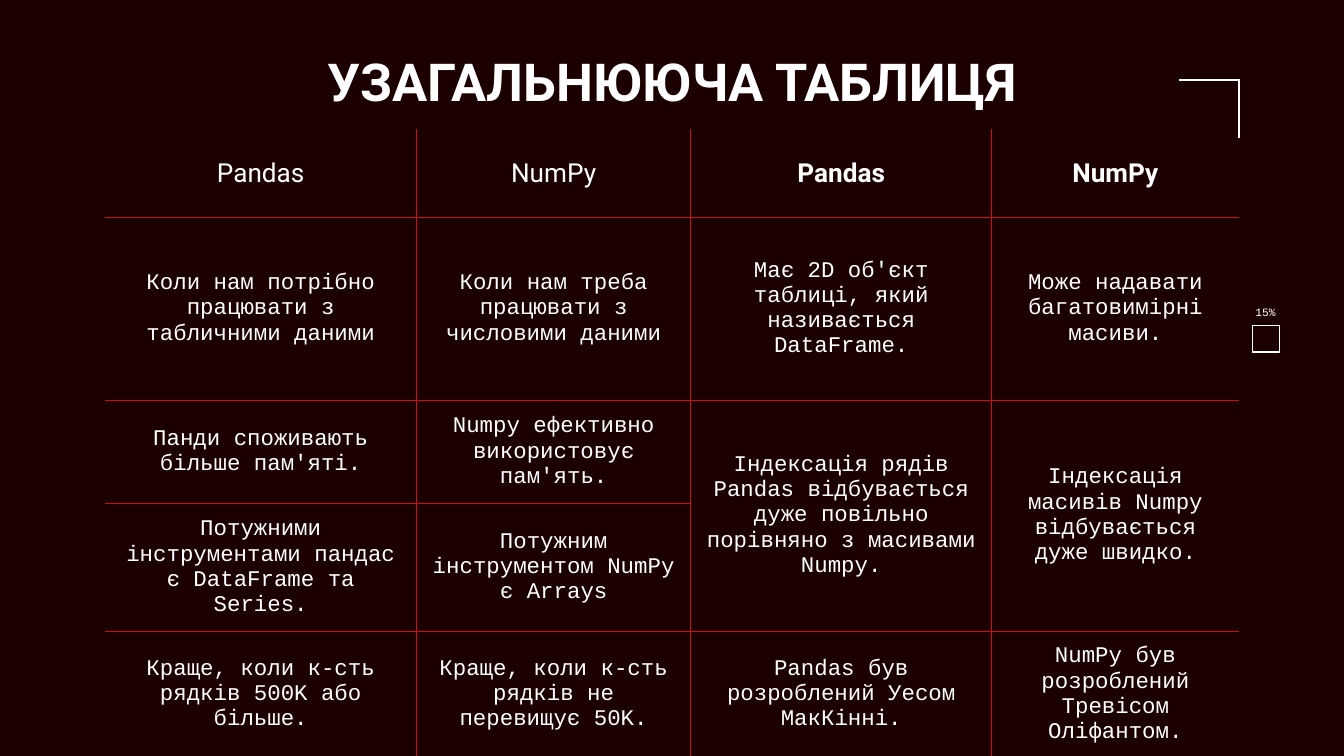
from lxml import etree
from pptx import Presentation
from pptx.dml.color import RGBColor
from pptx.enum import shapes, text
from pptx.oxml import ns
from pptx.util import Emu, Inches, Pt

theme = {
    "back": RGBColor.from_string("1C0000"),
    "ink": RGBColor.from_string("FFFFFF"),
    "rule": "CA1212",
    "line": 0.75,
    "head": "Roboto",
    "body": "Courier New",
    "title_size": 28,
    "head_size": 14,
    "body_size": 12,
    "tag_size": 6,
}

prs = Presentation()
prs.slide_width, prs.slide_height = Inches(10), Inches(5.625)
unit = prs.slide_width / 100
s = prs.slides.add_slide(prs.slide_layouts[6])
s.background.fill.solid()
s.background.fill.fore_color.rgb = theme["back"]


def grid(*steps):
    return [Emu(round(n * unit)) for n in steps]


def write(tf, padded, pad, words, font, size, bold=False):
    padded.margin_left, padded.margin_right = grid(1, 1)
    padded.margin_top, padded.margin_bottom = grid(pad, pad)
    tf.word_wrap = True
    p = tf.paragraphs[0]
    p.text = words
    p.alignment = text.PP_ALIGN.CENTER
    p.font.name, p.font.size, p.font.bold = font, Pt(size), bold
    p.font.color.rgb = theme["ink"]


sp = s.shapes.add_shape(shapes.MSO_SHAPE.RECTANGLE, *grid(93.2, 24.2, 2, 2))
sp.shadow.inherit = False
sp.fill.background()
sp.line.color.rgb = theme["ink"]
sp.line.width = Pt(theme["line"])

tf = s.shapes.add_textbox(*grid(92.2, 22.3, 3.9, 1.9)).text_frame
write(tf, tf, 1, "15%", theme["body"], theme["tag_size"])
tf.vertical_anchor = text.MSO_ANCHOR.MIDDLE

for ends in [(92.2, 5.95, 87.7, 5.95), (92.2, 5.9, 92.2, 10.3)]:
    c = s.shapes.add_connector(shapes.MSO_CONNECTOR.STRAIGHT, *grid(*ends))
    c.line.color.rgb = theme["ink"]
    c.line.width = Pt(theme["line"])
    etree.SubElement(c._element.spPr, ns.qn("a:effectLst"))

tf = s.shapes.add_textbox(*grid(7.85, 2.7, 84.3, 6.3)).text_frame
write(tf, tf, 1, "УЗАГАЛЬНЮЮЧА ТАБЛИЦЯ", theme["head"], theme["title_size"], True)

rows = [
    ["Pandas", "NumPy", "Pandas", "NumPy"],
    ["Коли нам потрібно працювати з табличними даними",
     "Коли нам треба працювати з числовими даними",
     "Має 2D об'єкт таблиці, який називається DataFrame.",
     "Може надавати багатовимірні масиви."],
    ["Панди споживають більше пам'яті.",
     "Numpy ефективно використовує пам'ять.",
     "Індексація рядів Pandas відбувається дуже повільно порівняно з масивами Numpy.",
     "Індексація масивів Numpy відбувається дуже швидко."],
    ["Потужними інструментами пандас є DataFrame та Series.",
     "Потужним інструментом NumPy є Arrays", None, None],
    ["Краще, коли к-сть рядків 500K або більше.",
     "Краще, коли к-сть рядків не перевищує 50K.",
     "Pandas був розроблений Уесом МакКінні.",
     "NumPy був розроблений Тревісом Оліфантом."],
]
widths = grid(23.2, 20.4, 22.4, 18.4)
heights = grid(6.6, 13.6, 7.7, 9.5, 9.2)

left, top = grid(7.8, 9.6)
tbl = s.shapes.add_table(len(rows), len(widths), left, top, sum(widths), sum(heights)).table
tbl.first_row = tbl.horz_banding = False
for col, w in zip(tbl.columns, widths):
    col.width = w
for row, h in zip(tbl.rows, heights):
    row.height = h
for j in (2, 3):
    tbl.cell(2, j).merge(tbl.cell(3, j))

for i, row in enumerate(rows):
    for j, words in enumerate(row):
        cell = tbl.cell(i, j)
        inner = {
            "lnL": j > 0,
            "lnR": j < len(widths) - 1,
            "lnT": i > 0 and not cell.is_spanned,
            "lnB": i < len(rows) - 1,
        }
        tc_pr = cell._tc.get_or_add_tcPr()
        for side, shown in inner.items():
            ln = etree.SubElement(tc_pr, ns.qn("a:" + side), w=str(Pt(theme["line"])))
            if shown:
                fill = etree.SubElement(ln, ns.qn("a:solidFill"))
                etree.SubElement(fill, ns.qn("a:srgbClr"), val=theme["rule"])
            else:
                etree.SubElement(ln, ns.qn("a:noFill"))
        cell.fill.background()
        if words is None:
            continue
        cell.vertical_anchor = text.MSO_ANCHOR.MIDDLE
        kind = "head" if i == 0 else "body"
        write(cell.text_frame, cell, 0.7, words, theme[kind], theme[kind + "_size"], i == 0 and j > 1)

prs.save("out.pptx")
